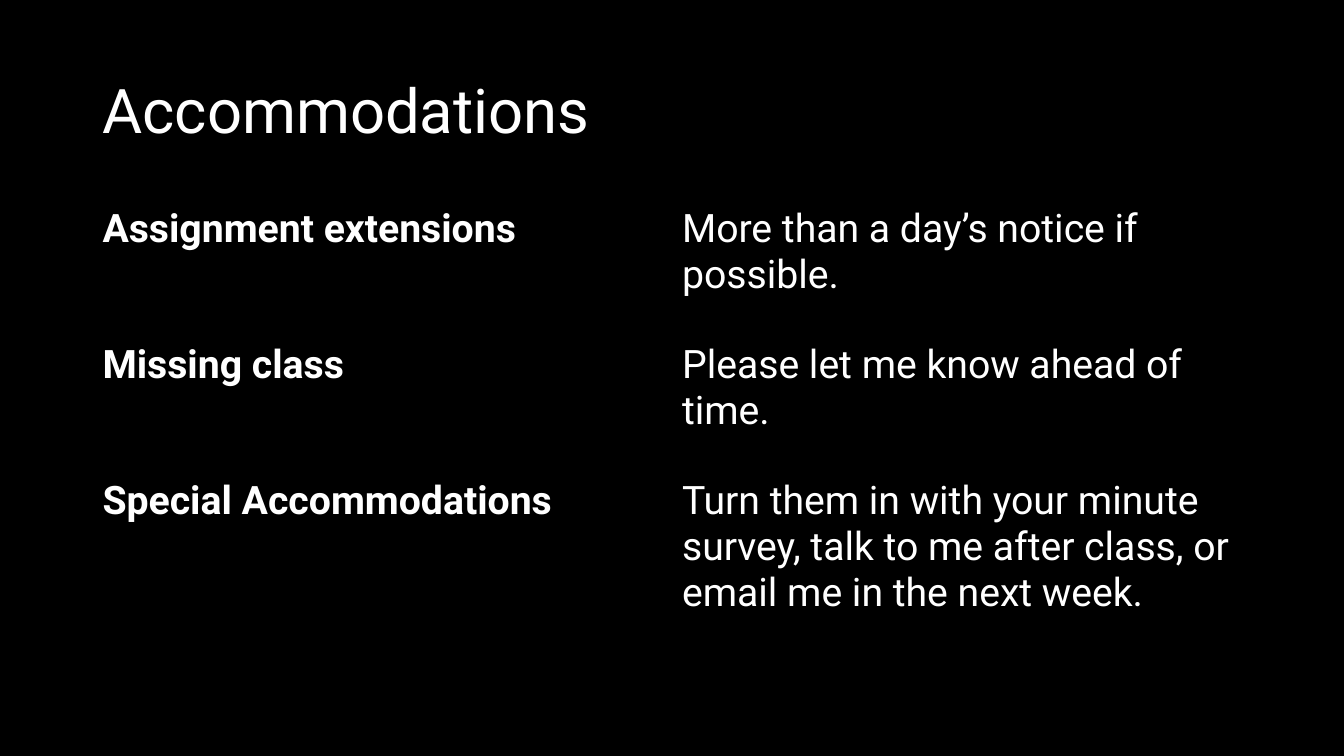
"""Build the Accommodations slide: a title above a two-column table on black."""
import pptx
import pptx.dml.color
import pptx.enum.text
import pptx.oxml.ns
import pptx.util

Cm = pptx.util.Cm
Pt = pptx.util.Pt
BLACK = pptx.dml.color.RGBColor(0x00, 0x00, 0x00)
WHITE = pptx.dml.color.RGBColor(0xFF, 0xFF, 0xFF)
FONT_NAME = "Roboto"
PLAIN_TABLE_STYLE = "{2D5ABB26-0587-4C30-8999-92F81FD0307C}"
LEFT = Cm(2.33)
WIDTH = Cm(29.21)
ROW_HEIGHTS = [Cm(3.43), Cm(3.43), Cm(3.73), Cm(3.43)]
POLICIES = [
    ("Assignment extensions", "More than a day’s notice if possible."),
    ("Missing class", "Please let me know ahead of time."),
    (
        "Special Accommodations",
        "Turn them in with your minute survey, talk to me after class, or email me in the next week.",
    ),
    ("", ""),
]


def format_paragraph(paragraph, size, bold):
    paragraph.font.name = FONT_NAME
    paragraph.font.size = Pt(size)
    paragraph.font.bold = bold
    paragraph.font.color.rgb = WHITE


presentation = pptx.Presentation()
presentation.slide_width = Cm(33.87)
presentation.slide_height = Cm(19.05)
slide = presentation.slides.add_slide(presentation.slide_layouts[5])
slide.background.fill.solid()
slide.background.fill.fore_color.rgb = BLACK

title = slide.shapes.title
title.left, title.top, title.width, title.height = LEFT, Cm(1.01), WIDTH, Cm(3.68)
title.text_frame.text = "Accommodations"
title.text_frame.vertical_anchor = pptx.enum.text.MSO_ANCHOR.MIDDLE
title_paragraph = title.text_frame.paragraphs[0]
title_paragraph.alignment = pptx.enum.text.PP_ALIGN.LEFT
title_paragraph.line_spacing = 0.9
format_paragraph(title_paragraph, 44, False)

table_frame = slide.shapes.add_table(
    len(POLICIES), 2, LEFT, Cm(5.07), WIDTH, sum(ROW_HEIGHTS)
)
table = table_frame.table
table.first_row = False
table.horz_banding = False
style_tag = pptx.oxml.ns.qn("a:tableStyleId")
next(table_frame.element.iter(style_tag)).text = PLAIN_TABLE_STYLE

for row_index, (policy, height) in enumerate(zip(POLICIES, ROW_HEIGHTS)):
    table.rows[row_index].height = height
    for column_index, text in enumerate(policy):
        cell = table.cell(row_index, column_index)
        cell.fill.background()
        cell.text = text
        format_paragraph(cell.text_frame.paragraphs[0], 28, column_index == 0)

presentation.save("out.pptx")
